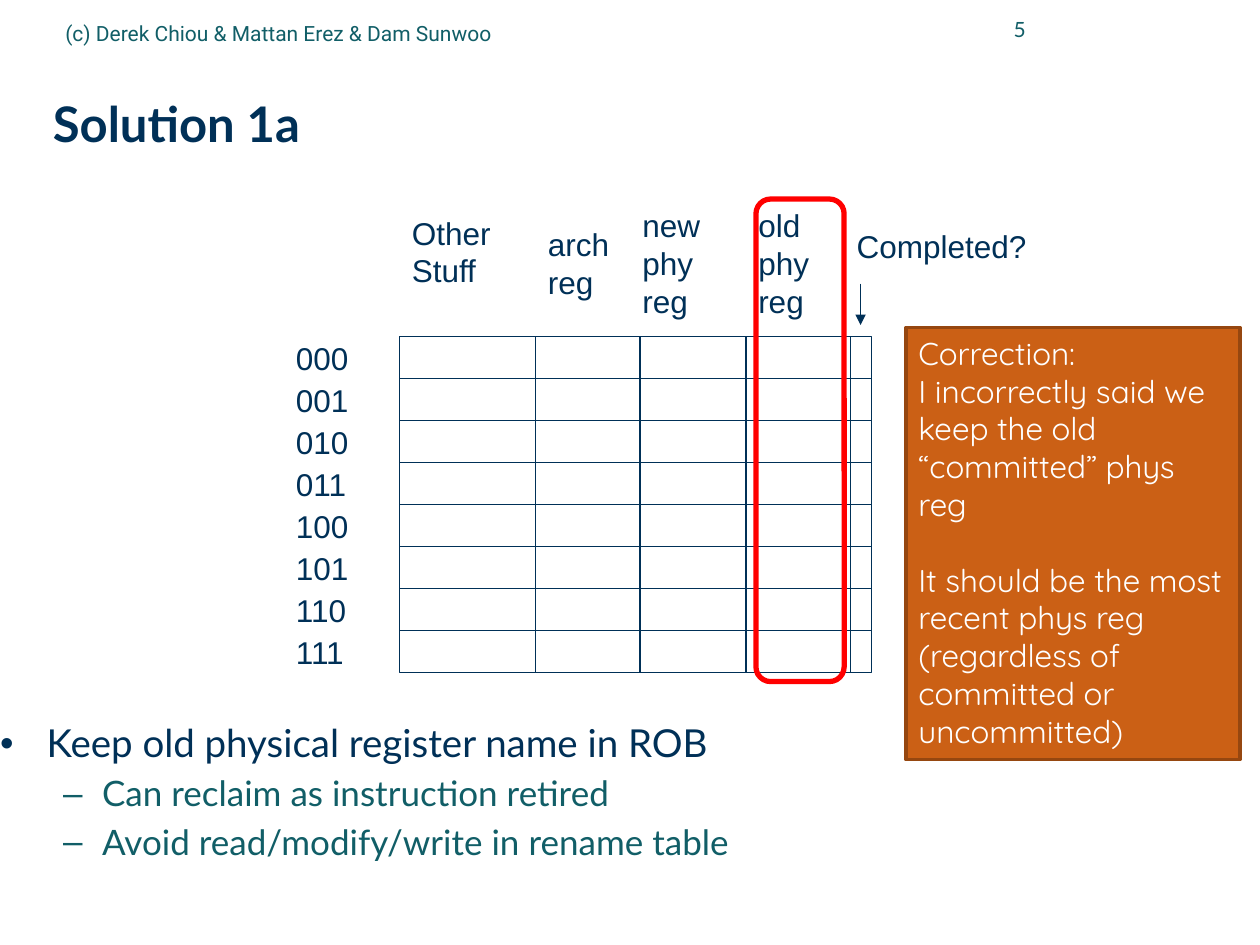
"""Build the "Solution 1a" slide about keeping old register names in the ROB."""
from dataclasses import dataclass

from lxml import etree
from pptx import Presentation
from pptx import util as u
from pptx.dml.color import RGBColor
from pptx.enum import shapes, text
from pptx.oxml.ns import qn

NAVY, TEAL, WHITE = "003057", "115E67", "FFFFFF"
RED, ORANGE, BROWN = "FF0000", "CB6015", "964710"
ROWS, ROW_HEIGHT = 8, 1 / 3
TABLE_LEFT, TABLE_TOP = 3.17, 2.67
COLUMN_WIDTHS = (1.08, 0.83, 0.84, 0.83, 0.17)


@dataclass(frozen=True)
class Box:
    left: float
    top: float
    width: float
    height: float

    def lengths(self) -> tuple:
        return tuple(u.Inches(n) for n in (self.left, self.top, self.width, self.height))


@dataclass(frozen=True)
class Label:
    words: str
    box: Box
    font: str = "Arial"
    size: int = 18
    color: str = NAVY
    anchor: text.MSO_ANCHOR = text.MSO_ANCHOR.MIDDLE
    align: text.PP_ALIGN = text.PP_ALIGN.LEFT
    wrap: bool = False


@dataclass(frozen=True)
class Bullet:
    words: str
    mark: str
    size: int
    color: str
    margin: float
    hang: float
    space: float
    level: int


HEADERS = (
    Label("Other\nStuff", Box(3.17, 1.83, 1.08, 0.33)),
    Label("arch\nreg", Box(4.25, 1.92, 0.83, 0.33)),
    Label("new\nphy\nreg", Box(5, 1.92, 0.83, 0.33)),
    Label("old\nphy\nreg", Box(5.92, 1.92, 0.83, 0.33)),
    Label("Completed?", Box(6.7, 1.75, 1.55, 0.4), anchor=text.MSO_ANCHOR.TOP),
)
PAGE_LABELS = (
    Label("5", Box(7.33, -0.02, 0.91, 0.5), "Lato", 12, TEAL,
          align=text.PP_ALIGN.RIGHT, wrap=True),
    Label("(c) Derek Chiou & Mattan Erez & Dam Sunwoo", Box(0.42, 0.03, 5.67, 0.46),
          "Roboto", 12, TEAL, wrap=True),
)
BULLETS = (
    Bullet("Keep old physical register name in ROB", "•", 22, NAVY, 0.37, 0.37, 6.5, 0),
    Bullet("Can reclaim as instruction retired", "–", 20, TEAL, 0.81, 0.31, 6, 1),
    Bullet("Avoid read/modify/write in rename table", "–", 20, TEAL, 0.81, 0.31, 6, 1),
)
CORRECTION = (
    "Correction:\nI incorrectly said we keep the old “committed” phys reg\n"
    "It should be the most recent phys reg (regardless of committed or uncommitted)"
)


def rgb(value: str) -> RGBColor:
    return RGBColor.from_string(value)


def style(para, font: str, size: int, color: str, bold: bool = False) -> None:
    for span in para.runs:
        span.font.name = font
        span.font.size = u.Pt(size)
        span.font.bold = bold
        span.font.color.rgb = rgb(color)


def clear_margins(frame) -> None:
    frame.margin_left = frame.margin_right = frame.margin_top = frame.margin_bottom = 0


def add_label(page, label: Label) -> None:
    frame = page.shapes.add_textbox(*label.box.lengths()).text_frame
    frame.text = label.words
    frame.word_wrap = label.wrap
    frame.vertical_anchor = label.anchor
    for para in frame.paragraphs:
        para.alignment = label.align
        style(para, label.font, label.size, label.color)


def add_outline(page, box: Box, color: str, width: float,
                kind=shapes.MSO_SHAPE.RECTANGLE, fill: str | None = None):
    shape = page.shapes.add_shape(kind, *box.lengths())
    shape.shadow.inherit = False
    shape.line.color.rgb = rgb(color)
    shape.line.width = u.Pt(width)
    if fill:
        shape.fill.solid()
        shape.fill.fore_color.rgb = rgb(fill)
    else:
        shape.fill.background()
    return shape


def add_title(page) -> None:
    title = page.shapes.title
    title.left, title.top, title.width, title.height = Box(0.42, 0.5, 9.41, 0.98).lengths()
    frame = title.text_frame
    frame.text = "Solution 1a"
    frame.vertical_anchor = text.MSO_ANCHOR.MIDDLE
    clear_margins(frame)
    para = frame.paragraphs[0]
    para.alignment = text.PP_ALIGN.LEFT
    para.line_spacing = 0.99
    style(para, "Lato", 28, NAVY, bold=True)


def add_bullets(page) -> None:
    frame = page.shapes.add_textbox(*Box(0, 5.75, 9.49, 1.28).lengths()).text_frame
    frame.text = "\n".join(bullet.words for bullet in BULLETS)
    frame.word_wrap = True
    clear_margins(frame)
    for para, bullet in zip(frame.paragraphs, BULLETS):
        para.level = bullet.level
        para.line_spacing = 0.9
        para.space_before = u.Pt(bullet.space)
        style(para, "Lato", bullet.size, bullet.color)
        properties = para._p.get_or_add_pPr()
        properties.set("marL", str(u.Inches(bullet.margin)))
        properties.set("indent", str(-u.Inches(bullet.hang)))
        tint = etree.SubElement(properties, qn("a:buClr"))
        etree.SubElement(tint, qn("a:srgbClr"), val=bullet.color)
        etree.SubElement(properties, qn("a:buFont"), typeface="Arial")
        etree.SubElement(properties, qn("a:buChar"), char=bullet.mark)


def add_reorder_buffer(page) -> None:
    for row in range(ROWS):
        top = TABLE_TOP + row * ROW_HEIGHT
        add_label(page, Label(f"{row:03b}", Box(2.25, top, 0.83, ROW_HEIGHT)))
        left = TABLE_LEFT
        for width in COLUMN_WIDTHS:
            add_outline(page, Box(left, top, width, ROW_HEIGHT), NAVY, 0.75)
            left += width


def add_arrow(page) -> None:
    x, top, bottom = (u.Inches(n) for n in (6.83, 2.25, 2.58))
    arrow = page.shapes.add_connector(shapes.MSO_CONNECTOR.STRAIGHT, x, top, x, bottom)
    arrow.line.color.rgb = rgb(NAVY)
    arrow.line.width = u.Pt(0.75)
    etree.SubElement(arrow.line._get_or_add_ln(), qn("a:tailEnd"), type="triangle")
    etree.SubElement(arrow._element.spPr, qn("a:effectLst"))


def add_correction(page) -> None:
    note = add_outline(page, Box(7.19, 2.6, 2.65, 3.43), BROWN, 2, fill=ORANGE)
    frame = note.text_frame
    frame.text = CORRECTION
    frame.word_wrap = True
    frame.vertical_anchor = text.MSO_ANCHOR.TOP
    for para in frame.paragraphs:
        para.alignment = text.PP_ALIGN.LEFT
        style(para, "Quicksand", 18, WHITE)
    frame.paragraphs[-1].space_before = u.Pt(21.6)


def main() -> None:
    deck = Presentation()
    deck.slide_width, deck.slide_height = u.Inches(10), u.Inches(7.5)
    page = deck.slides.add_slide(deck.slide_layouts.get_by_name("Title Only"))
    add_title(page)
    add_bullets(page)
    add_reorder_buffer(page)
    for label in PAGE_LABELS + HEADERS:
        add_label(page, label)
    add_arrow(page)
    add_outline(page, Box(6, 1.58, 0.7, 3.83), RED, 3, shapes.MSO_SHAPE.ROUNDED_RECTANGLE)
    add_correction(page)
    deck.save("out.pptx")


if __name__ == "__main__":
    main()
